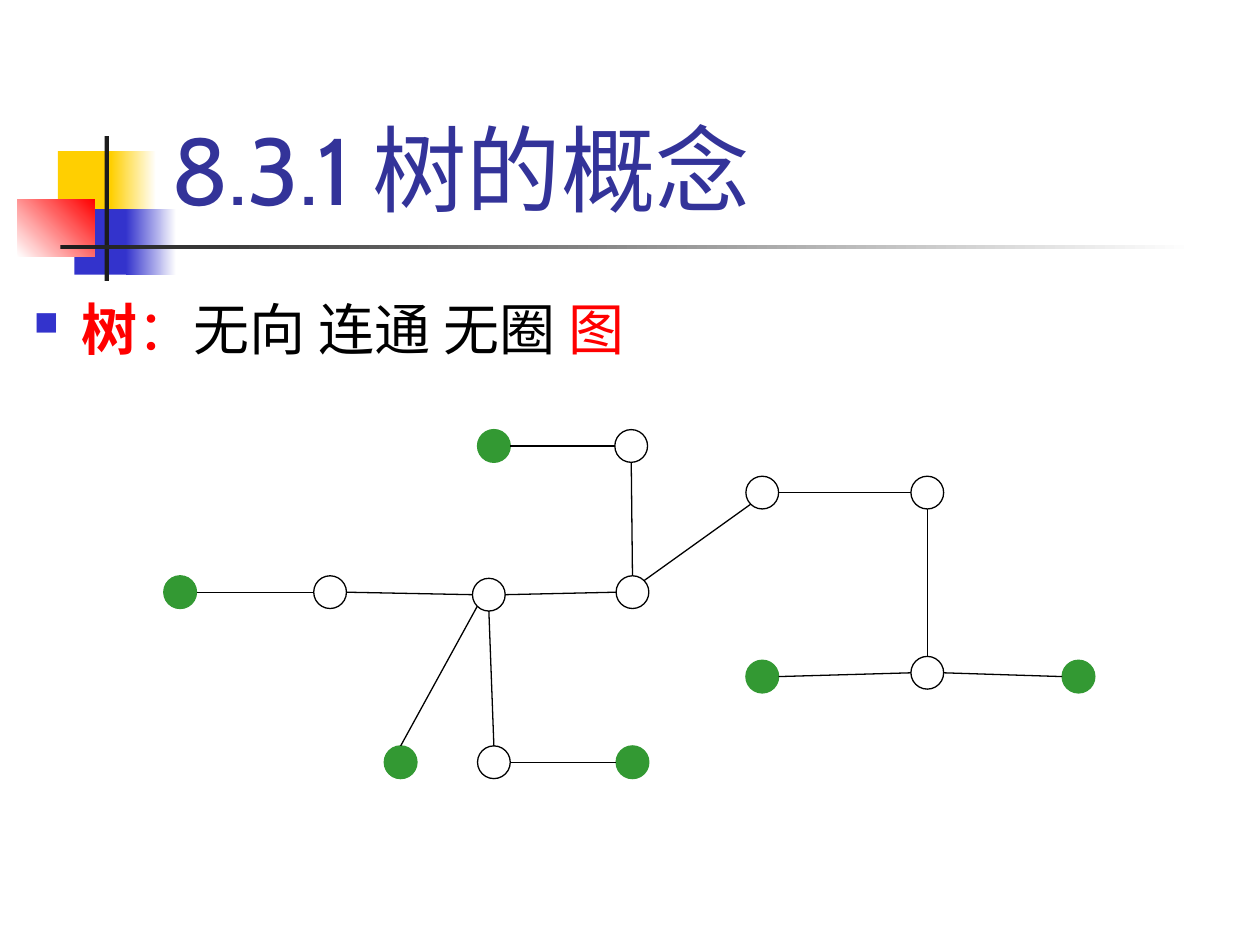
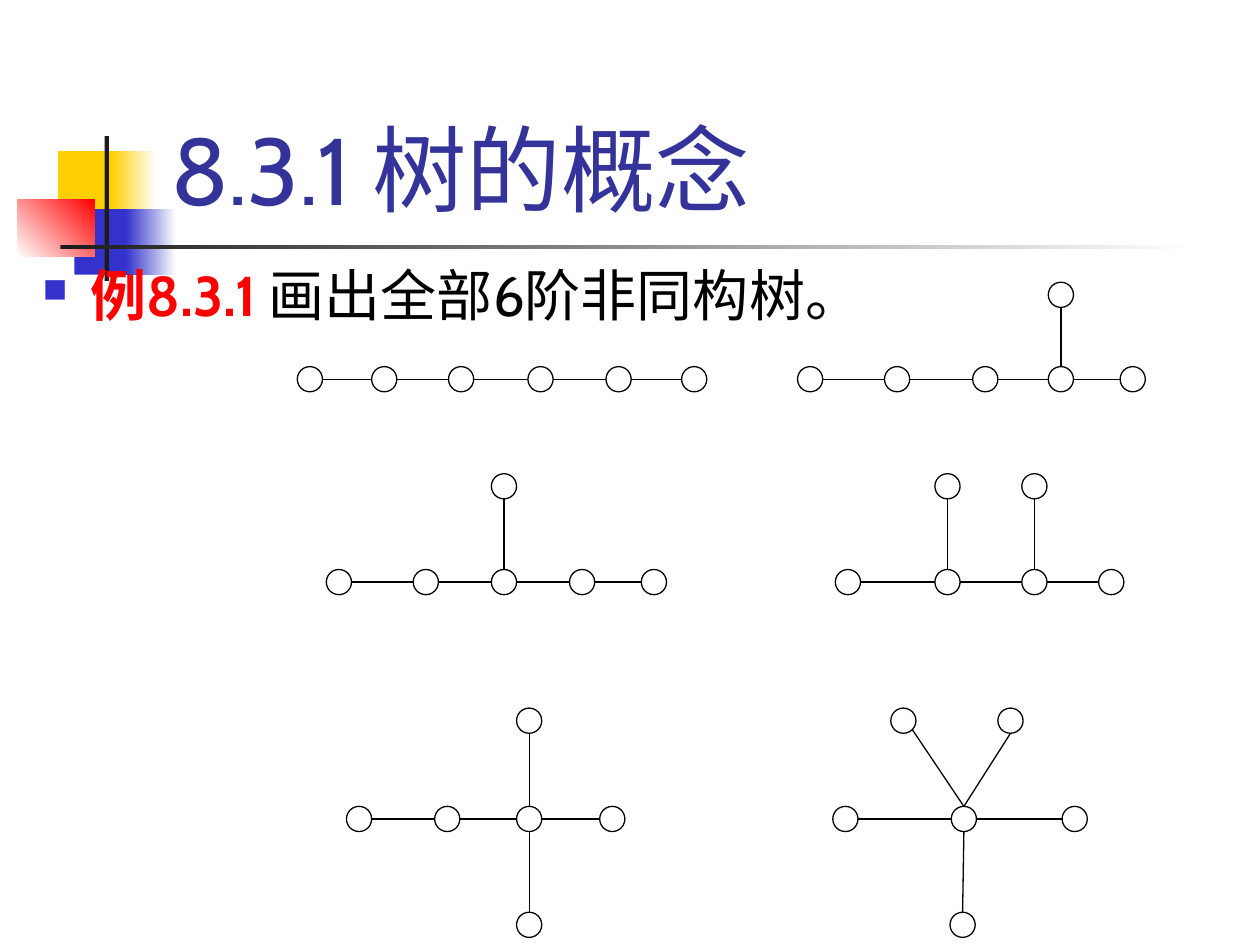
from dataclasses import dataclass
from itertools import pairwise
from math import atan2, cos, degrees, radians, sin

from lxml.etree import SubElement
from pptx import Presentation
from pptx.dml.color import RGBColor as RGB
from pptx.enum.lang import MSO_LANGUAGE_ID as Lang
from pptx.enum.shapes import MSO_CONNECTOR as Connector, MSO_SHAPE as Shape
from pptx.enum.text import MSO_ANCHOR as Anchor
from pptx.oxml.ns import qn
from pptx.util import Inches, Pt

COLUMNS, ROWS = 100, 75
RIGHT, LOWER_RIGHT, LOWER_LEFT, TOP = 0, 45, 135, 270  # clockwise degrees


@dataclass(frozen=True)
class Theme:
    font: str = "Cabin"
    title_size: int = 54
    body_size: int = 32
    line_width: float = 0.75
    title: str = "333399"
    ink: str = "000000"
    paper: str = "FFFFFF"
    accent: str = "FF0000"
    leaf: str = "339933"
    blue: str = "3333CC"
    yellow: str = "FFCF01"
    rule: str = "1C1C1C"


THEME = Theme()


def add_run(paragraph, text, *, size, color, bold=False):
    run = paragraph.add_run()
    run.text = text
    font = run.font
    font.name, font.size, font.bold = THEME.font, Pt(size), bold
    font.language_id = Lang.SIMPLIFIED_CHINESE
    font.color.rgb = RGB.from_string(color)
    SubElement(font._element, qn("a:ea"), typeface=THEME.font)


def add_bullet(paragraph):
    props = paragraph._p.get_or_add_pPr()
    indent = Inches(0.38)
    props.set("marL", str(indent))
    props.set("indent", str(-indent))
    color = SubElement(props, qn("a:buClr"))
    SubElement(color, qn("a:srgbClr"), val=THEME.blue)
    SubElement(props, qn("a:buSzPct"), val="60000")
    SubElement(props, qn("a:buChar"), char="■")


def snapped_angle(start, end):
    """Direction from start to end, rounded to one of eight compass points."""
    angle = degrees(atan2(end[1] - start[1], end[0] - start[0]))
    return round(angle / 45) * 45


def rim_point(centre, radius, angle):
    turn = radians(angle)
    return centre[0] + radius * cos(turn), centre[1] + radius * sin(turn)


class Deck:
    """Holds the style and the current slide; lengths are grid columns and rows."""

    def __init__(self, theme):
        self.theme = theme
        self.show = Presentation()
        self.show.slide_width, self.show.slide_height = Inches(10), Inches(7.5)
        self.slide = None

    def place(self, *lengths):
        """Turn alternating column and row counts into slide lengths."""
        units = (self.show.slide_width / COLUMNS, self.show.slide_height / ROWS)
        return [round(n * units[i % 2]) for i, n in enumerate(lengths)]

    def new_slide(self, title):
        self.slide = self.show.slides.add_slide(self.show.slide_layouts[6])
        self.ornament()
        self.text(12.6, 2.3, 85.2, 16, [(title, self.theme.title, False)],
                  size=self.theme.title_size, anchor=Anchor.BOTTOM)

    def ornament(self):
        t = self.theme
        self.block(4.6, 12, 4.8, 5.2, t.yellow)
        self.block(8.8, 12, 3.6, 5.2, t.yellow, t.paper)
        self.block(5.9, 16.6, 4.6, 5.2, t.blue)
        self.block(10, 16.6, 4, 5.2, t.blue, t.paper)
        self.block(1.4, 15.8, 6.1, 4.6, t.paper, t.accent, angle=45)
        self.block(8.3, 10.8, 0.35, 11.5, t.rule)
        self.block(4.8, 19.45, 90, 0.35, t.rule, t.paper)

    def shape(self, kind, left, top, width, height):
        shape = self.slide.shapes.add_shape(
            kind, *self.place(left, top, width, height))
        shape.shadow.inherit = False
        return shape

    def block(self, left, top, width, height, color, fade_to=None, angle=0):
        block = self.shape(Shape.RECTANGLE, left, top, width, height)
        block.line.fill.background()
        if fade_to is None:
            block.fill.solid()
            block.fill.fore_color.rgb = RGB.from_string(color)
            return
        block.fill.gradient()
        block.fill.gradient_angle = angle
        for stop, shade in zip(block.fill.gradient_stops, (color, fade_to)):
            stop.color.rgb = RGB.from_string(shade)

    def text(self, left, top, width, height, runs, *, size,
             anchor=Anchor.TOP, bullet=False, spacing=None):
        box = self.slide.shapes.add_textbox(*self.place(left, top, width, height))
        frame = box.text_frame
        frame.word_wrap, frame.vertical_anchor = True, anchor
        paragraph = frame.paragraphs[0]
        if spacing:
            paragraph.line_spacing = spacing
        if bullet:
            add_bullet(paragraph)
        for words, color, bold in runs:
            add_run(paragraph, words, size=size, color=color, bold=bold)

    def body(self, left, width, height, runs, spacing=None):
        self.text(left, 20.2, width, height, runs, size=self.theme.body_size,
                  bullet=True, spacing=spacing)

    def vertex(self, centre, radius, is_leaf=False):
        x, y = centre
        vertex = self.shape(Shape.OVAL, x - radius, y - radius,
                            2 * radius, 2 * radius)
        t = self.theme
        vertex.fill.solid()
        vertex.fill.fore_color.rgb = RGB.from_string(t.leaf if is_leaf else t.paper)
        self.outline(vertex.line, t.leaf if is_leaf else t.ink)

    def outline(self, line, color):
        line.color.rgb = RGB.from_string(color)
        line.width = Pt(self.theme.line_width)

    def edge(self, start, end, radius, sites=None):
        """Join two vertices rim to rim; sites fixes the angle at each end."""
        leave, arrive = sites or (snapped_angle(start, end),
                                  snapped_angle(end, start))
        ends = rim_point(start, radius, leave) + rim_point(end, radius, arrive)
        edge = self.slide.shapes.add_connector(
            Connector.STRAIGHT, *self.place(*ends))
        self.outline(edge.line, self.theme.ink)
        SubElement(edge._element.spPr, qn("a:effectLst"))

    def tree(self, vertices, edges, radius, leaves="", sites=None):
        """Draw named vertices; edges are two-letter pairs of their names."""
        for name, centre in vertices.items():
            self.vertex(centre, radius, name in leaves)
        for a, b in edges:
            self.edge(vertices[a], vertices[b], radius, (sites or {}).get(a + b))

    def spine_tree(self, row, columns, branches=()):
        """Draw a level path; a branch is (spine index, centre, optional sites)."""
        radius = 1
        spine = [(column, row) for column in columns]
        for a, b in pairwise(spine):
            self.edge(a, b, radius)
        for index, tip, *sites in branches:
            self.edge(spine[index], tip, radius, *sites)
        for centre in spine + [branch[1] for branch in branches]:
            self.vertex(centre, radius)


def concept_slide(deck):
    t = deck.theme
    deck.new_slide("8.3.1 树的概念")
    deck.body(1.7, 97.1, 53.6, [
        ("树", t.accent, True), ("：", t.accent, False),
        ("无向 连通 无圈 ", t.ink, False), ("图", t.accent, False)], spacing=1.5)
    vertices = {
        "a": (14.3, 47), "b": (26.2, 47), "c": (38.8, 47.2), "d": (50.2, 47),
        "e": (50.1, 35.4), "f": (39.2, 35.4),
        "g": (60.5, 39.1), "h": (73.6, 39.1), "i": (73.6, 53.4),
        "j": (60.5, 53.7), "k": (85.6, 53.7),
        "l": (31.8, 60.5), "m": (39.2, 60.5), "n": (50.2, 60.5),
    }
    edges = "ab bc cd de ef dg gh hi ij ik cl cm mn".split()
    deck.tree(vertices, edges, radius=1.3, leaves="afjkln",
              sites={"cl": (LOWER_LEFT, TOP)})


def example_slide(deck):
    t = deck.theme
    deck.new_slide("8.3.1 树的概念")
    deck.body(2.4, 97.6, 54.8, [
        ("例8.3.1 ", t.accent, True), ("画出全部6阶非同构树。", t.ink, False)])
    upper, middle, lower = 30.1, 46.2, 65
    deck.spine_tree(upper, (24.6, 30.5, 36.6, 42.9, 49.1, 55.1))
    deck.spine_tree(upper, (64.3, 71.2, 78.2, 84.2, 89.9), [(3, (84.2, 23.4))])
    deck.spine_tree(middle, (26.9, 33.8, 40, 46.2, 51.9), [(2, (40, 38.6))])
    deck.spine_tree(middle, (67.3, 75.2, 82.1, 88.2),
                    [(1, (75.2, 38.6)), (2, (82.1, 38.6))])
    deck.spine_tree(lower, (28.5, 35.5, 42, 48.6),
                    [(2, (42, 57.2)), (2, (42, 73.4))])
    deck.spine_tree(lower, (67.1, 76.5, 85.3), [
        (1, (71.7, 57.2), (TOP, LOWER_RIGHT)),
        (1, (80.2, 57.2), (TOP, 90)),
        (1, (76.4, 73.4))])


def main():
    deck = Deck(THEME)
    concept_slide(deck)
    example_slide(deck)
    deck.show.save("out.pptx")


if __name__ == "__main__":
    main()
